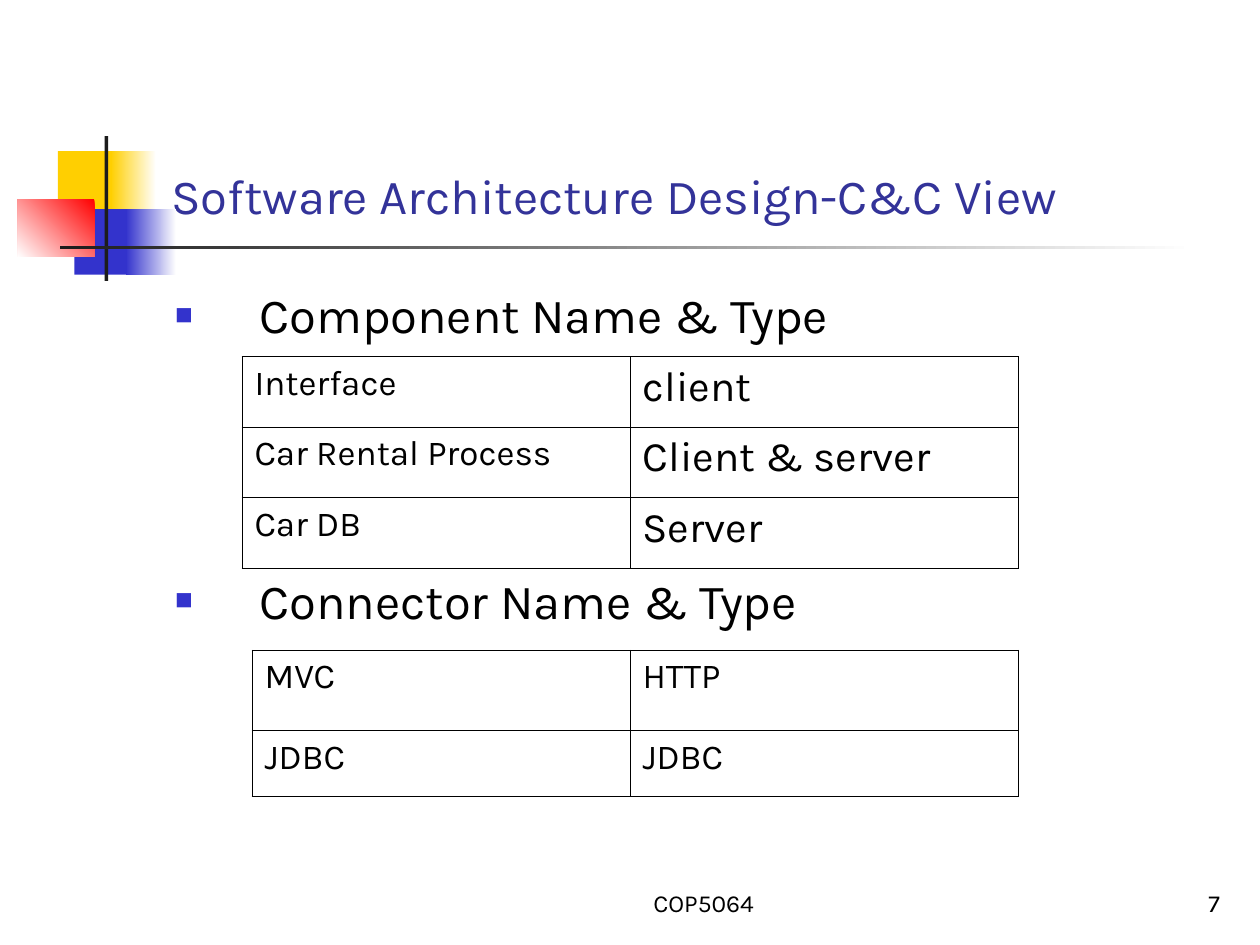
import lxml.etree
import pptx
import pptx.dml.color
import pptx.enum.shapes
import pptx.enum.text
import pptx.oxml.ns
import pptx.util

Inches = pptx.util.Inches
Pt = pptx.util.Pt
qn = pptx.oxml.ns.qn
ANCHOR = pptx.enum.text.MSO_ANCHOR
ALIGN = pptx.enum.text.PP_ALIGN

FONT = "Karla"
COLORS = {
    "white": "FFFFFF",
    "black": "000000",
    "yellow": "FFCF01",
    "blue": "3333CC",
    "red": "FF0000",
    "charcoal": "1C1C1C",
    "title": "333399",
}


def rgb(name):
    return pptx.dml.color.RGBColor.from_string(COLORS[name])


def add_span(para, text, size, color="black"):
    span = para.add_run()
    span.text = text
    span.font.name = FONT
    span.font.size = Pt(size)
    span.font.color.rgb = rgb(color)


deck = pptx.Presentation()
deck.slide_width = Inches(10)
deck.slide_height = Inches(7.5)
page = deck.slides.add_slide(deck.slide_layouts[1])

# Decoration: a single colour is solid, two colours with an angle are a gradient
decoration = [
    (0.46, 1.2, 0.48, 0.52, ["yellow"], None),
    (0.88, 1.2, 0.36, 0.52, ["white", "yellow"], 180),
    (0.59, 1.66, 0.46, 0.52, ["blue"], None),
    (1, 1.66, 0.4, 0.52, ["white", "blue"], 180),
    (0.14, 1.58, 0.61, 0.46, ["red", "white"], 225),
    (0.83, 1.08, 0.03, 1.15, ["charcoal"], None),
    (0.48, 1.95, 9, 0.03, ["white", "charcoal"], 180),
]
for left, top, width, height, colors, angle in decoration:
    block = page.shapes.add_shape(
        pptx.enum.shapes.MSO_SHAPE.RECTANGLE,
        Inches(left), Inches(top), Inches(width), Inches(height))
    block.shadow.inherit = False
    block.line.fill.background()
    if angle is None:
        block.fill.solid()
        block.fill.fore_color.rgb = rgb(colors[0])
    else:
        block.fill.gradient()
        block.fill.gradient_angle = angle
        for stop, color in zip(block.fill.gradient_stops, colors):
            stop.color.rgb = rgb(color)

# Title
title = page.shapes.title
title.left, title.top = Inches(1.26), Inches(0.23)
title.width, title.height = Inches(8.52), Inches(1.6)
title.text_frame.vertical_anchor = ANCHOR.BOTTOM
title.text_frame.auto_size = pptx.enum.text.MSO_AUTO_SIZE.NONE
para = title.text_frame.paragraphs[0]
para.alignment = ALIGN.LEFT
add_span(para, "Software Architecture Design-C&C View", 28, "title")

# Bulleted headings; the second leaves room for the first table
body = page.placeholders[1]
body.left, body.top = Inches(1.29), Inches(2.21)
body.width, body.height = Inches(6.79), Inches(4.5)
body.text_frame.auto_size = pptx.enum.text.MSO_AUTO_SIZE.NONE
headings = [("Component Name & Type", 0), ("Connector Name & Type", 129.5)]
for index, (heading, space) in enumerate(headings):
    para = body.text_frame.add_paragraph() if index else body.text_frame.paragraphs[0]
    para.space_before = Pt(space)
    props = para._p.get_or_add_pPr()
    props.set("marL", str(Inches(0.67)))
    props.set("indent", str(-Inches(0.67)))
    bullet_color = lxml.etree.SubElement(props, qn("a:buClr"))
    lxml.etree.SubElement(bullet_color, qn("a:srgbClr"), val=COLORS["blue"])
    lxml.etree.SubElement(props, qn("a:buSzPct"), val="60000")
    lxml.etree.SubElement(props, qn("a:buChar"), char="■")
    add_span(para, heading, 28)

# Tables: left, top, column widths, row heights, text size per column, cell texts
tables = [
    (1.92, 2.83, [3.08, 3.08], [0.56, 0.56, 0.56], [20, 24],
     [["Interface", "client"],
      ["Car Rental Process", "Client & server"],
      ["Car DB", "Server"]]),
    (2, 5.16, [3, 3.08], [0.64, 0.52], [20, 20],
     [["MVC", "HTTP"],
      ["JDBC", "JDBC"]]),
]
for left, top, widths, heights, sizes, rows in tables:
    table = page.shapes.add_table(
        len(rows), len(widths), Inches(left), Inches(top),
        Inches(sum(widths)), Inches(sum(heights))).table
    table.first_row = False
    table.horz_banding = False
    for column, width in zip(table.columns, widths):
        column.width = Inches(width)
    for row, height, texts in zip(table.rows, heights, rows):
        row.height = Inches(height)
        for cell, text, size in zip(row.cells, texts, sizes):
            cell.fill.background()
            add_span(cell.text_frame.paragraphs[0], text, size)
            props = cell._tc.get_or_add_tcPr()
            for position, side in enumerate(["lnL", "lnR", "lnT", "lnB"]):
                border = lxml.etree.Element(qn(f"a:{side}"), w=str(Pt(0.45)))
                fill = lxml.etree.SubElement(border, qn("a:solidFill"))
                lxml.etree.SubElement(fill, qn("a:srgbClr"), val=COLORS["black"])
                props.insert(position, border)

# Footer and page number
footers = [(4, 3.17, "COP5064", ALIGN.CENTER), (7.7, 2.08, "7", ALIGN.RIGHT)]
for left, width, text, alignment in footers:
    box = page.shapes.add_textbox(Inches(left), Inches(6.83), Inches(width), Inches(0.5))
    box.text_frame.word_wrap = True
    box.text_frame.vertical_anchor = ANCHOR.BOTTOM
    para = box.text_frame.paragraphs[0]
    para.alignment = alignment
    add_span(para, text, 14)

deck.save("out.pptx")
